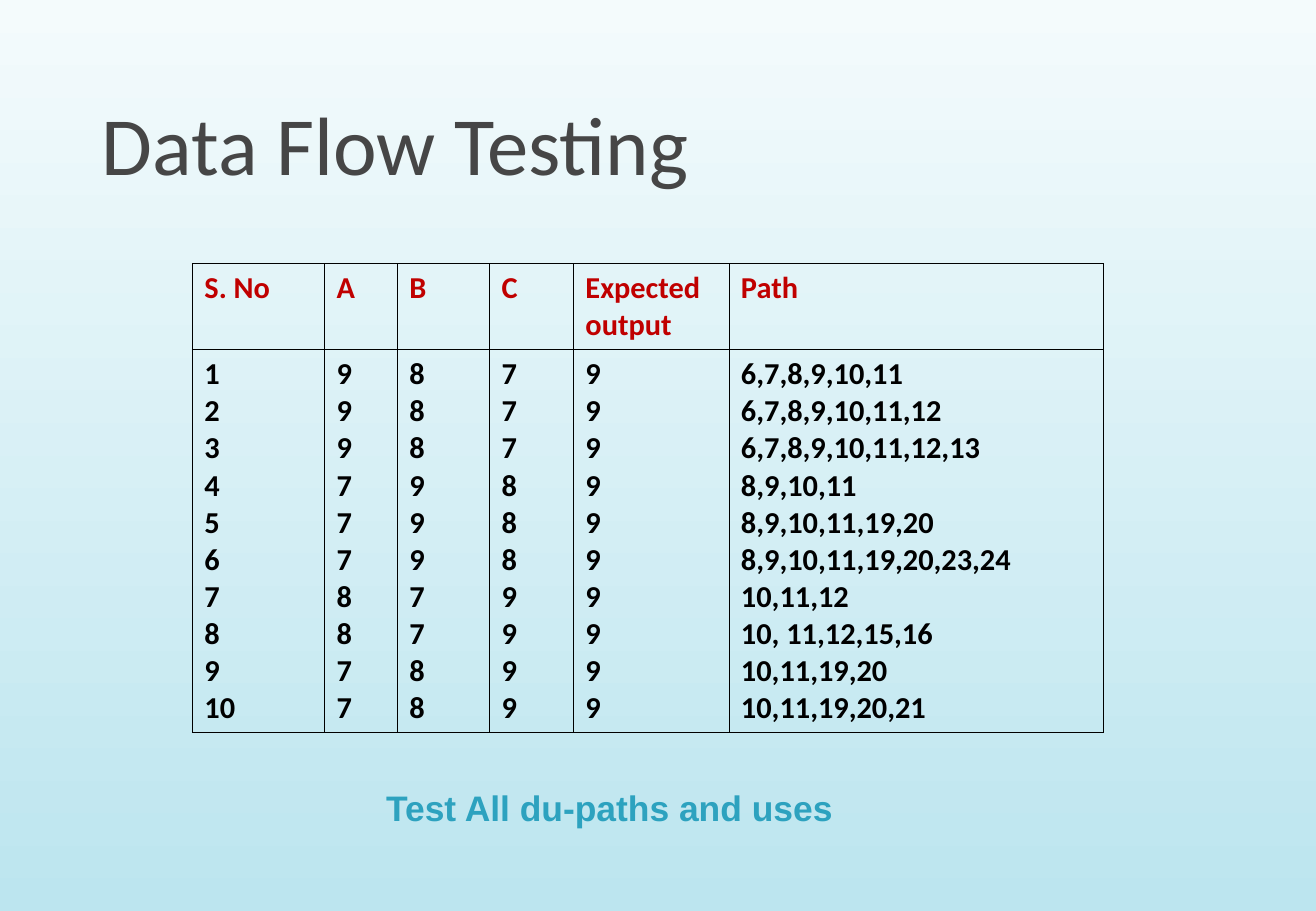
from dataclasses import astuple, dataclass

from lxml import etree
from pptx import Presentation
from pptx.dml.color import RGBColor
from pptx.enum import text
from pptx.oxml import ns
from pptx.util import Pt

HEADINGS = ("S. No", "A", "B", "C", "Expected output", "Path")
COLUMN_WIDTHS = (78.3, 43.2, 54.7, 49.7, 92.2, 221.9)
ROW_HEIGHTS = (51.1, 223.2)
RED, BLACK, TEAL, GREY = "C00000", "000000", "2DA2BF", "464646"


@dataclass
class TestCase:
    number: int
    a: int
    b: int
    c: int
    expected: int
    path: str


CASES = (
    TestCase(1, 9, 8, 7, 9, "6,7,8,9,10,11"),
    TestCase(2, 9, 8, 7, 9, "6,7,8,9,10,11,12"),
    TestCase(3, 9, 8, 7, 9, "6,7,8,9,10,11,12,13"),
    TestCase(4, 7, 9, 8, 9, "8,9,10,11"),
    TestCase(5, 7, 9, 8, 9, "8,9,10,11,19,20"),
    TestCase(6, 7, 9, 8, 9, "8,9,10,11,19,20,23,24"),
    TestCase(7, 8, 7, 9, 9, "10,11,12"),
    TestCase(8, 8, 7, 9, 9, "10, 11,12,15,16"),
    TestCase(9, 7, 8, 9, 9, "10,11,19,20"),
    TestCase(10, 7, 8, 9, 9, "10,11,19,20,21"),
)


def rgb(value: str) -> RGBColor:
    return RGBColor.from_string(value)


def write(tf, content: str, font: str, size: float, color: str, bold: bool) -> None:
    tf.text = content
    for p in tf.paragraphs:
        p.alignment = text.PP_ALIGN.LEFT
        for r in p.runs:
            r.font.name = font
            r.font.size = Pt(size)
            r.font.bold = bold
            r.font.color.rgb = rgb(color)


def add_borders(cell, color: str, width: float) -> None:
    props = cell._tc.get_or_add_tcPr()
    for side in ("lnL", "lnR", "lnT", "lnB"):
        line = etree.SubElement(props, ns.qn(f"a:{side}"), w=str(Pt(width)))
        fill = etree.SubElement(line, ns.qn("a:solidFill"))
        etree.SubElement(fill, ns.qn("a:srgbClr"), val=color)


def paint_background(s, top: str, bottom: str) -> None:
    fill = s.background.fill
    fill.gradient()
    fill.gradient_angle = 270
    for stop, color in zip(fill.gradient_stops, (top, bottom)):
        stop.color.rgb = rgb(color)


def add_title(s) -> None:
    sp = s.shapes.title
    sp.left, sp.top, sp.width, sp.height = Pt(51.8), Pt(12.2), Pt(695.5), Pt(105.8)
    tf = sp.text_frame
    tf.auto_size = text.MSO_AUTO_SIZE.NONE
    tf.vertical_anchor = text.MSO_ANCHOR.BOTTOM
    tf.margin_left = tf.margin_right = Pt(8.64)
    tf.margin_top = tf.margin_bottom = Pt(4.32)
    write(tf, "Data Flow Testing", "Calibri", 49, GREY, False)


def add_case_table(s) -> None:
    table = s.shapes.add_table(
        len(ROW_HEIGHTS), len(HEADINGS), Pt(114), Pt(156.2),
        Pt(sum(COLUMN_WIDTHS)), Pt(sum(ROW_HEIGHTS))).table
    for row, height in zip(table.rows, ROW_HEIGHTS):
        row.height = Pt(height)
    for column, width in zip(table.columns, COLUMN_WIDTHS):
        column.width = Pt(width)

    values = zip(*map(astuple, CASES))
    bodies = ["\n".join(map(str, column)) for column in values]
    for row, (contents, color) in enumerate(((HEADINGS, RED), (bodies, BLACK))):
        for column, content in enumerate(contents):
            cell = table.cell(row, column)
            write(cell.text_frame, content, "Calibri", 18, color, True)
            add_borders(cell, BLACK, 0.45)
            cell.fill.background()


def add_caption(s) -> None:
    tf = s.shapes.add_textbox(Pt(221.8), Pt(462.2), Pt(288), Pt(32.4)).text_frame
    tf.word_wrap = True
    tf.auto_size = text.MSO_AUTO_SIZE.SHAPE_TO_FIT_TEXT
    write(tf, "Test All du-paths and uses", "Arial", 21, TEAL, True)


def main() -> None:
    prs = Presentation()
    prs.slide_width, prs.slide_height = Pt(780.13), Pt(540)
    s = prs.slides.add_slide(prs.slide_layouts[5])
    paint_background(s, "F4FBFC", "BCE5EF")
    add_title(s)
    add_case_table(s)
    add_caption(s)
    prs.save("out.pptx")


if __name__ == "__main__":
    main()
